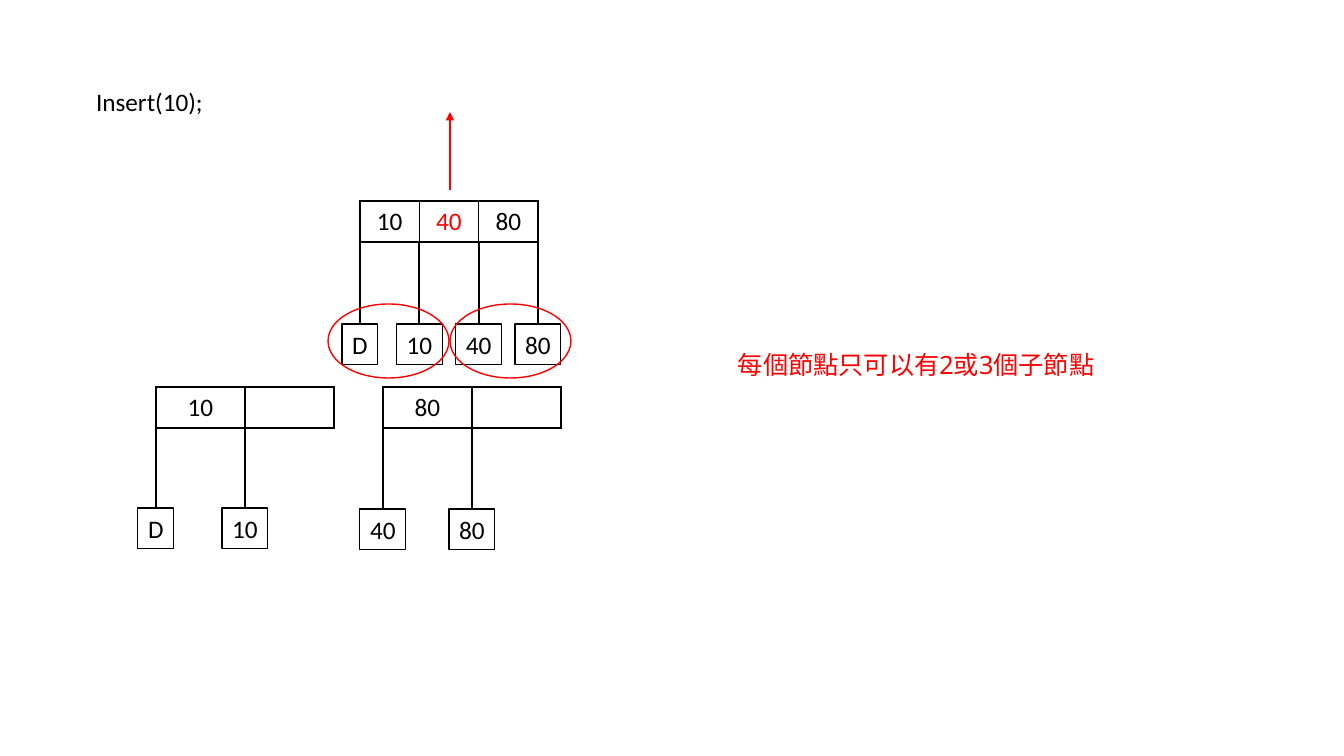
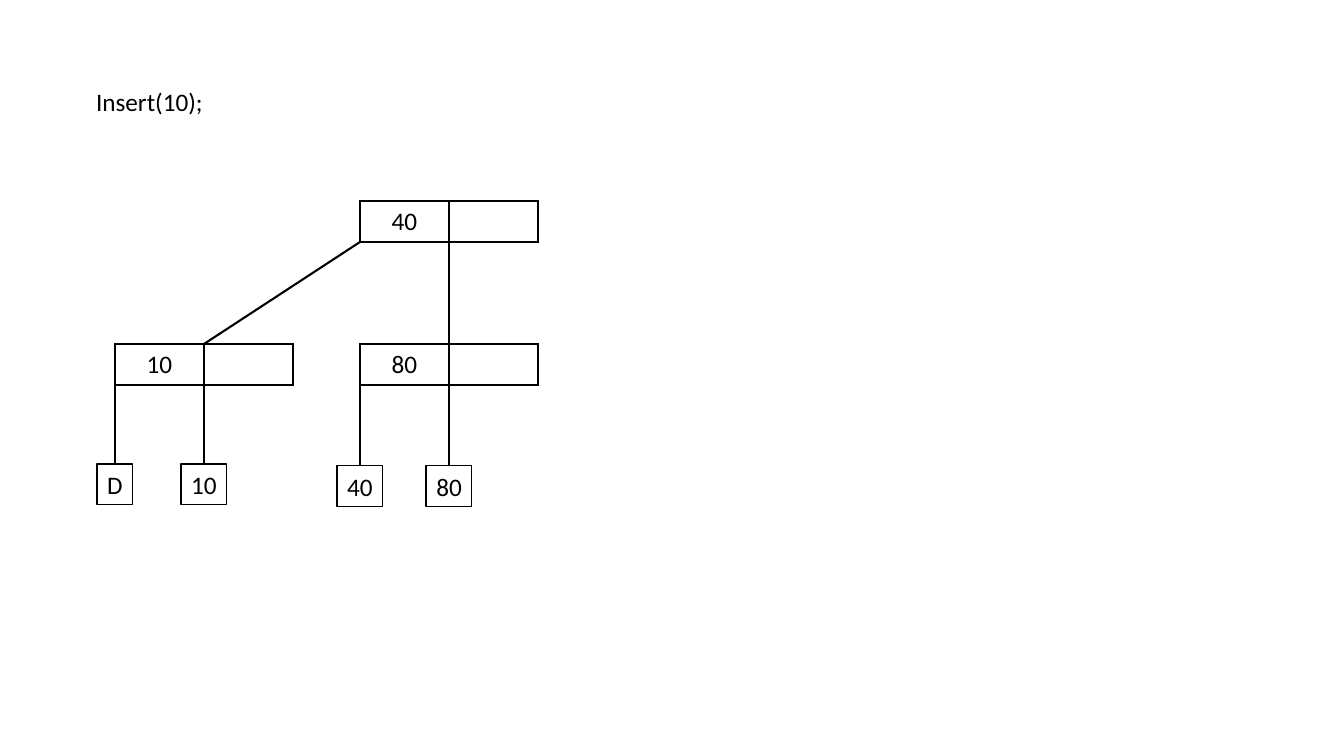
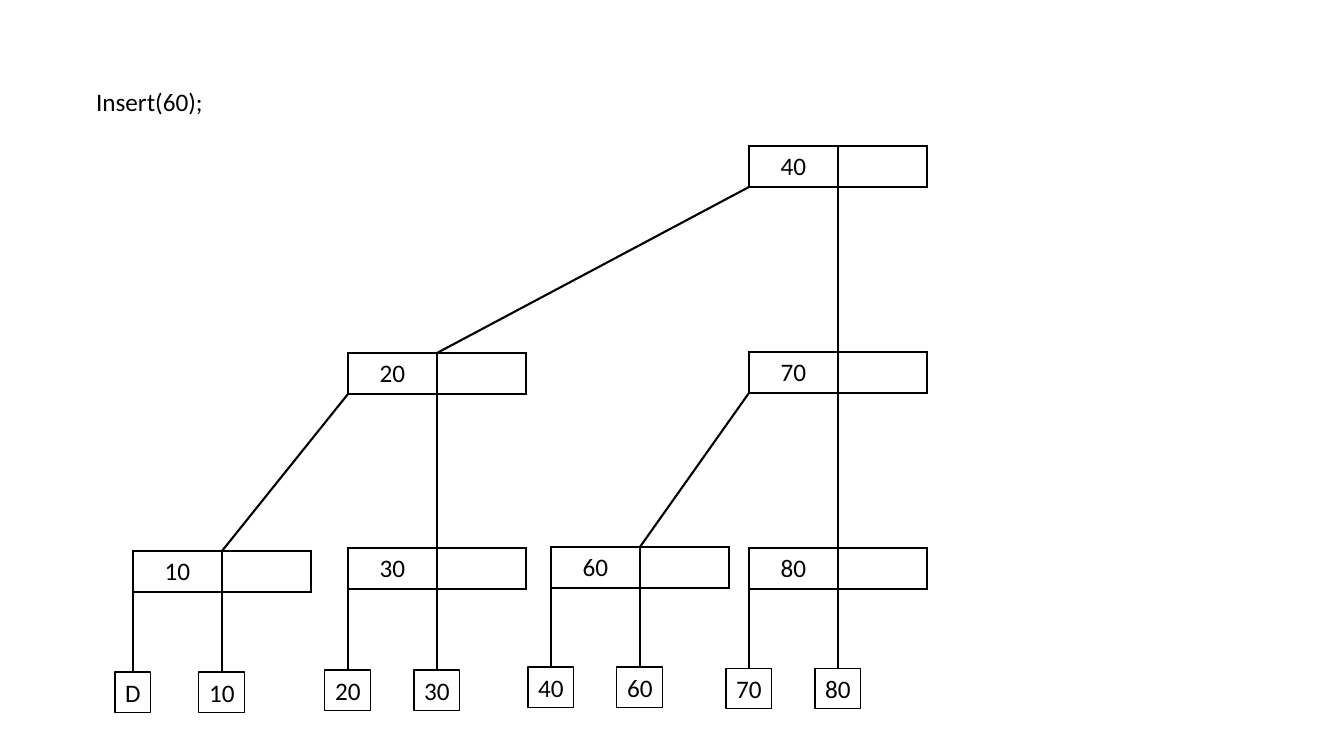
from dataclasses import dataclass

from lxml.etree import SubElement
from pptx import Presentation
from pptx.dml.color import RGBColor
from pptx.enum.shapes import MSO_CONNECTOR as Link, MSO_SHAPE as Shape
from pptx.enum.text import MSO_ANCHOR as Anchor, MSO_AUTO_SIZE as AutoSize, PP_ALIGN as Align
from pptx.oxml.ns import qn
from pptx.util import Emu, Pt

# Shared style
BLACK = RGBColor(0x00, 0x00, 0x00)
RED = RGBColor(0xFF, 0x00, 0x00)
LATIN_FONT = "Calibri"
NOTE_FONT = "Noto Sans"
TITLE_ONLY = 5
SCALE = 914400 / 100.8
NODE_WIDTH, ROW_HEIGHT = 178, 41
LEAF_WIDTH, DUMMY_WIDTH = 46, 36


def px(length):
    return Emu(round(length * SCALE))


def write(frame, text, font=LATIN_FONT, size=18, color=BLACK, align=Align.CENTER):
    para = frame.paragraphs[0]
    para.alignment = align
    span = para.add_run()
    span.text = text
    span.font.name = font
    span.font.size = Pt(size)
    span.font.color.rgb = color
    SubElement(span.font._element, qn("a:ea"), typeface=font)


@dataclass
class Node:
    left: int
    top: int
    keys: int

    @property
    def bottom(self):
        return self.top + ROW_HEIGHT

    @property
    def center(self):
        return self.left + NODE_WIDTH / 2

    def slot(self, index):
        return self.left + index * NODE_WIDTH / self.keys


class TreePage:
    def __init__(self, deck, title):
        self.page = deck.slides.add_slide(deck.slide_layouts[TITLE_ONLY])
        box = self.page.shapes.title
        box.left, box.top, box.width, box.height = px(86), px(81), px(128), px(40)
        frame = box.text_frame
        frame.auto_size = AutoSize.NONE
        frame.word_wrap = False
        frame.vertical_anchor = Anchor.TOP
        write(frame, title, align=Align.LEFT)

    def outline(self, kind, left, top, width, height, color=BLACK, weight=0.75):
        box = self.page.shapes.add_shape(kind, px(left), px(top), px(width), px(height))
        box.shadow.inherit = False
        box.fill.background()
        box.line.color.rgb = color
        box.line.width = Pt(weight)
        return box

    def line(self, start, end, color=BLACK, arrow=False):
        points = [px(value) for value in (*start, *end)]
        line = self.page.shapes.add_connector(Link.STRAIGHT, *points)
        line.line.color.rgb = color
        line.line.width = Pt(1.5)
        if arrow:
            SubElement(line.line._get_or_add_ln(), qn("a:tailEnd"), type="triangle")
        SubElement(line._element.spPr, qn("a:effectLst"))

    def note(self, text, left, top, width, height):
        box = self.page.shapes.add_textbox(px(left), px(top), px(width), px(height))
        box.text_frame.word_wrap = True
        write(box.text_frame, text, font=NOTE_FONT, color=RED, align=Align.LEFT)

    def border(self, cell):
        properties = cell._tc.get_or_add_tcPr()
        for side in ("lnL", "lnR", "lnT", "lnB"):
            edge = SubElement(properties, qn(f"a:{side}"), w=str(Pt(1)))
            fill = SubElement(edge, qn("a:solidFill"))
            SubElement(fill, qn("a:srgbClr"), val=str(BLACK))

    def node(self, left, top, keys, highlight=None):
        """Draw one row of keys; an empty key leaves its cell blank."""
        table = self.page.shapes.add_table(
            1, len(keys), px(left), px(top), px(NODE_WIDTH), px(ROW_HEIGHT)).table
        table.first_row = table.horz_banding = False
        for column, key in enumerate(keys):
            table.columns[column].width = px(NODE_WIDTH / len(keys))
            cell = table.cell(0, column)
            cell.vertical_anchor = Anchor.MIDDLE
            self.border(cell)
            cell.fill.background()
            if key:
                write(cell.text_frame, key, color=RED if key == highlight else BLACK)
        return Node(left, top, len(keys))

    def leaves(self, node, top, labels):
        for index, label in enumerate(labels):
            center = node.slot(index)
            width = DUMMY_WIDTH if label == "D" else LEAF_WIDTH
            self.line((center, node.bottom), (center, top))
            box = self.outline(Shape.RECTANGLE, center - width / 2, top, width, ROW_HEIGHT)
            box.text_frame.word_wrap = False
            write(box.text_frame, label)

    def bottom_node(self, left, top, key, leaf_top, labels):
        node = self.node(left, top, (key, ""))
        self.leaves(node, leaf_top, labels)
        return node

    def connect(self, parent, *children):
        for index, child in enumerate(children):
            self.line((parent.slot(index), parent.bottom), (child.center, child.top))


deck = Presentation()
deck.slide_width, deck.slide_height = px(1344), px(756)

# Overfull node splits and its middle key moves up
split = TreePage(deck, "Insert(10);")
full = split.node(360, 201, ("10", "40", "80"), highlight="40")
split.leaves(full, 324, ("D", "10", "40", "80"))
split.note("每個節點只可以有2或3個子節點", 728, 344, 407, 40)
for left in (328, 450):
    split.outline(Shape.OVAL, left, 304, 121, 74, color=RED, weight=1)
split.line((450, 190), (450, 112), color=RED, arrow=True)
split.bottom_node(383, 387, "80", 509, ("40", "80"))
split.bottom_node(156, 387, "10", 508, ("D", "10"))

# Two-level tree after the split
result = TreePage(deck, "Insert(10);")
root = result.node(360, 201, ("40", ""))
low = result.bottom_node(115, 344, "10", 464, ("D", "10"))
high = result.bottom_node(360, 344, "80", 466, ("40", "80"))
result.connect(root, low, high)

# Three-level tree
tall = TreePage(deck, "Insert(60);")
root = tall.node(749, 146, ("40", ""))
low = tall.node(348, 353, ("20", ""))
high = tall.node(749, 352, ("70", ""))
bottom_row = [
    tall.bottom_node(*values) for values in (
        (133, 551, "10", 672, ("D", "10")),
        (348, 548, "30", 670, ("20", "30")),
        (551, 547, "60", 667, ("40", "60")),
        (749, 548, "80", 668, ("70", "80")),
    )
]
tall.connect(root, low, high)
tall.connect(low, *bottom_row[:2])
tall.connect(high, *bottom_row[2:])

deck.save("out.pptx")
